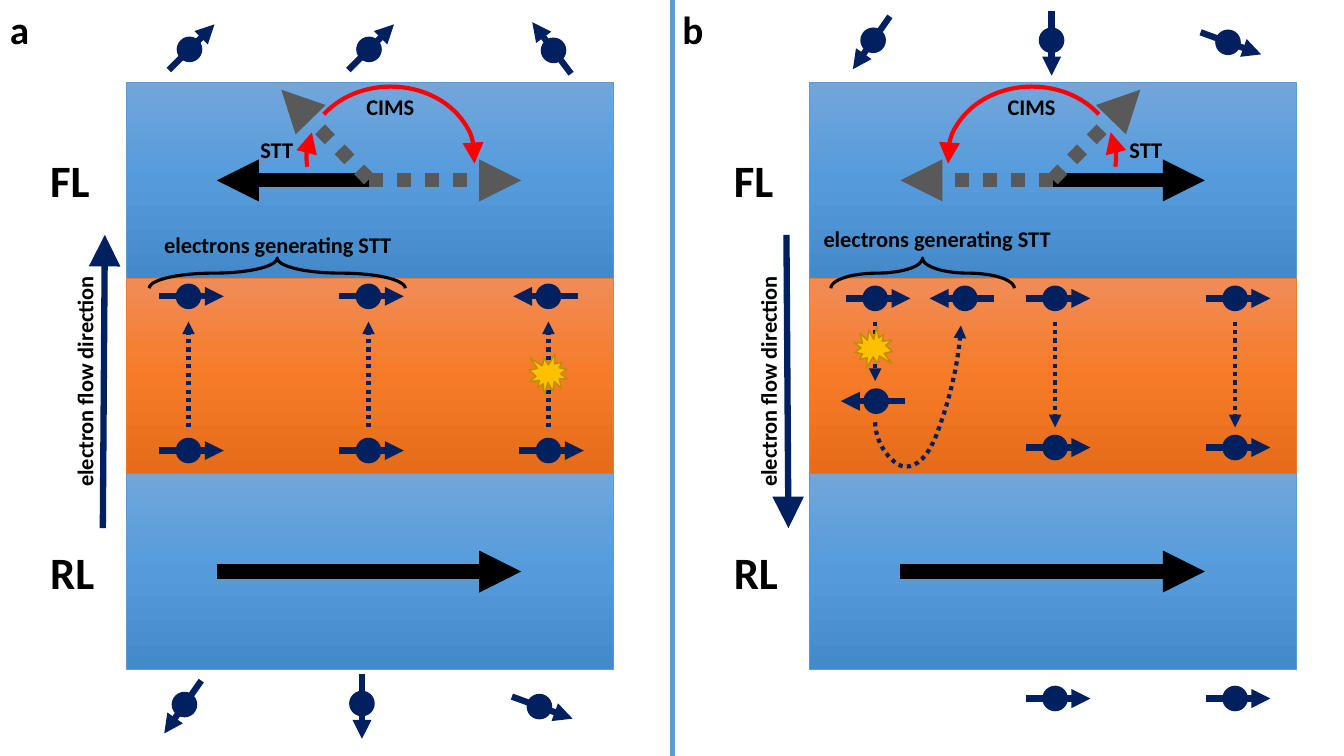
from copy import deepcopy
from math import cos, radians, sin

from lxml.etree import SubElement as Sub
from pptx import Presentation
from pptx.dml.color import RGBColor as RGB
from pptx.enum.dml import MSO_LINE as Dash
from pptx.enum.shapes import MSO_CONNECTOR as Link, MSO_SHAPE as Kind
from pptx.enum.text import MSO_AUTO_SIZE as Auto, PP_ALIGN as Align
from pptx.oxml.ns import qn
from pptx.util import Cm, Pt

TONES = {
    "navy": "002060", "black": "000000", "gray": "595959", "red": "FF0000",
    "gold": "FFC000", "ochre": "BD8E00", "blue": "5B9BD5", "orange": "ED7D31",
}
FADES = {
    "blue": ("71A6DB", "559BDB", "448ACA"),
    "orange": ("F18C57", "F67B28", "E56C19"),
}
STEP = 1.785
SHIFT = 6.78


def inch(num):
    return Cm(2.54 * num)


def tone(name):
    return RGB.from_string(TONES[name])


def stroke(line, color, width, dots=False, head=None):
    line.fill.solid()
    line.fill.fore_color.rgb = tone(color)
    line.width = Pt(width)
    if dots:
        line.dash_style = Dash.ROUND_DOT
    if head:
        Sub(line._get_or_add_ln(), qn("a:tailEnd"), type="triangle", w=head, len=head)


def arrow(group, start, end, color, width, dots=False, head="med"):
    points = [inch(num) for num in (*start, *end)]
    link = group.shapes.add_connector(Link.STRAIGHT, *points)
    stroke(link.line, color, width, dots, head)
    Sub(link._element.spPr, qn("a:effectLst"))


def shape(group, kind, box, color, width, fill=None, head=None, flips=""):
    item = group.shapes.add_shape(kind, *[inch(num) for num in box])
    item.shadow.inherit = False
    if fill:
        item.fill.solid()
        item.fill.fore_color.rgb = tone(fill)
    else:
        item.fill.background()
    stroke(item.line, color, width, head=head)
    for axis in flips:
        item._element.spPr.xfrm.set("flip" + axis, "1")
    return item


def layer(group, left, top, color):
    fill = shape(group, Kind.RECTANGLE, (left, top, 4.83, 1.94), color, 0.5).fill
    fill.gradient()
    fill.gradient_angle = 270
    stops = fill._xPr.find(qn("a:gradFill")).find(qn("a:gsLst"))
    stops.append(deepcopy(stops[0]))
    for num, (stop, shade) in enumerate(zip(fill.gradient_stops, FADES[color])):
        stop.color.rgb = RGB.from_string(shade)
        stop.position = num / 2


def label(group, words, box, size=16, align=Align.CENTER, turn=0):
    item = group.shapes.add_textbox(*[inch(num) for num in box])
    item.rotation = turn
    frame = item.text_frame
    frame.word_wrap = False
    frame.auto_size = Auto.SHAPE_TO_FIT_TEXT
    para = frame.paragraphs[0]
    para.alignment = align
    run = para.add_run()
    run.text = words
    run.font.name = "Calibri"
    run.font.size = Pt(size)
    run.font.bold = True
    run.font.color.rgb = tone("black")


def spin(group, x, y, angle=0):
    dx, dy = cos(radians(angle)), sin(radians(angle))
    start = (x - 0.29 * dx, y - 0.29 * dy)
    end = (x + 0.35 * dx, y + 0.35 * dy)
    arrow(group, start, end, "navy", 4.5)
    shape(group, Kind.OVAL, (x - 0.12, y - 0.12, 0.24, 0.24), "navy", 1, "navy")


def hop(group, x, start, end):
    arrow(group, (x, start), (x, end), "navy", 3, dots=True)


def burst(group, x, y, flips=""):
    box = (x - 0.19, y - 0.2, 0.38, 0.41)
    shape(group, Kind.EXPLOSION1, box, "ochre", 1, "gold", flips=flips)


def arc(group, mid, side, start, end):
    box = (mid + 0.21 * side - 0.83, 0.86, 1.67, 1.4)
    flips = "H" if side < 0 else ""
    item = shape(group, Kind.ARC, box, "red", 3, head="lg", flips=flips)
    item.adjustments[0] = start
    item.adjustments[1] = end


def brace(group, x, width, mid, top):
    box = (x - 0.15, 2.71 - width / 2, 0.3, width)
    item = shape(group, Kind.RIGHT_BRACE, box, "black", 2.25)
    item.rotation = 270
    item.adjustments[0] = 2.11
    label(group, "electrons generating STT", (mid - 1.24, top, 2.49, 0.37))


def curve(group, points):
    pen = group.shapes.build_freeform(*[inch(num) for num in points[0]])
    ends = [(inch(x), inch(y)) for x, y in points[1:]]
    pen.add_line_segments(ends, close=False)
    item = pen.convert_to_shape()
    item.shadow.inherit = False
    item.fill.background()
    stroke(item.line, "navy", 3, dots=True, head="med")
    parts = list(item._element.iter(qn("a:lnTo")))
    for bend, *rest in zip(parts[::3], parts[1::3], parts[2::3]):
        bend.tag = qn("a:cubicBezTo")
        for part in rest:
            bend.append(part[0])
            part.getparent().remove(part)


def stack(slide, shift, side):
    group = slide.shapes.add_group_shape()
    mid = 3.66 + shift
    for row, color in enumerate(("blue", "orange", "blue")):
        layer(group, 1.25 + shift, 0.82 + 1.94 * row, color)
    arrow(group, (mid, 1.79), (mid - 1.51 * side, 1.79), "black", 10)
    arrow(group, (mid - 1.51, 5.67), (mid + 1.51, 5.67), "black", 10)
    for words, top in (("FL", 1.47), ("RL", 5.35)):
        label(group, words, (0.4 + shift, top, 0.7, 0.64), 32, Align.LEFT)
    ends = [(1.02 + shift, 3.785 + 1.455 * side), (1.04 + shift, 3.785 - 1.455 * side)]
    arrow(group, *ends, "navy", 4.5, head="lg")
    label(group, "electron flow direction", (shift - 0.32, 3.6, 2.32, 0.37), turn=270)
    arrow(group, (mid, 1.79), (mid + 1.51 * side, 1.79), "gray", 10, dots=True)
    arrow(group, (mid, 1.78), (mid - 0.87 * side, 0.89), "gray", 10, dots=True)
    arc(group, mid, side, 127.6, 2.61)
    arc(group, mid, side, 104.09, 118.52)
    label(group, "CIMS", (mid + 0.21 * side - 0.34, 0.87, 0.68, 0.37))
    label(group, "STT", (mid - 0.92 * side - 0.26, 1.3, 0.53, 0.37))
    return group


def left(slide):
    group = stack(slide, 0, 1)
    for num, angle in enumerate((0, 0, 180)):
        x = 1.87 + STEP * num
        spin(group, x, 4.47)
        spin(group, x, 2.94, angle)
        hop(group, x, 4.24, 3.19)
    burst(group, 5.44, 3.71)
    for place in ((1.88, 0.49, 315), (3.66, 0.49, 315), (5.49, 0.5, 233),
                  (1.83, 6.99, 125), (3.59, 6.98, 90), (5.35, 7.01, 20)):
        spin(group, *place)
    brace(group, 2.75, 2.54, 2.75, 2.24)


def right(slide):
    group = stack(slide, SHIFT, -1)
    for place in ((8.66, 0.4, 125), (10.43, 0.4, 90), (12.18, 0.42, 20),
                  (8.68, 2.96), (9.57, 2.96, 180), (8.69, 3.98, 180)):
        spin(group, *place)
    for num in (1, 2):
        x = 8.68 + STEP * num
        for y in (2.96, 4.44, 6.93):
            spin(group, x, y)
        hop(group, x, 3.19, 4.24)
    hop(group, 8.68, 3.19, 3.78)
    burst(group, 8.66, 3.44, "HV")
    curve(group, [(8.68, 4.19), (8.68, 4.42), (8.87, 4.63), (8.98, 4.63),
                  (9.09, 4.63), (9.2, 4.54), (9.29, 4.31),
                  (9.38, 4.07), (9.51, 3.65), (9.53, 3.23)])
    brace(group, 9.15, 1.82, 9.29, 2.18)


def main():
    deck = Presentation()
    deck.slide_width = inch(13.33)
    deck.slide_height = inch(7.5)
    slide = deck.slides.add_slide(deck.slide_layouts[6])
    arrow(slide, (6.67, 0), (6.67, 7.5), "blue", 3, head=None)
    left(slide)
    right(slide)
    for words, x in (("a", 0), ("b", 6.67)):
        label(slide, words, (x, 0, 0.4, 0.57), 28, Align.LEFT)
    deck.save("out.pptx")


main()
